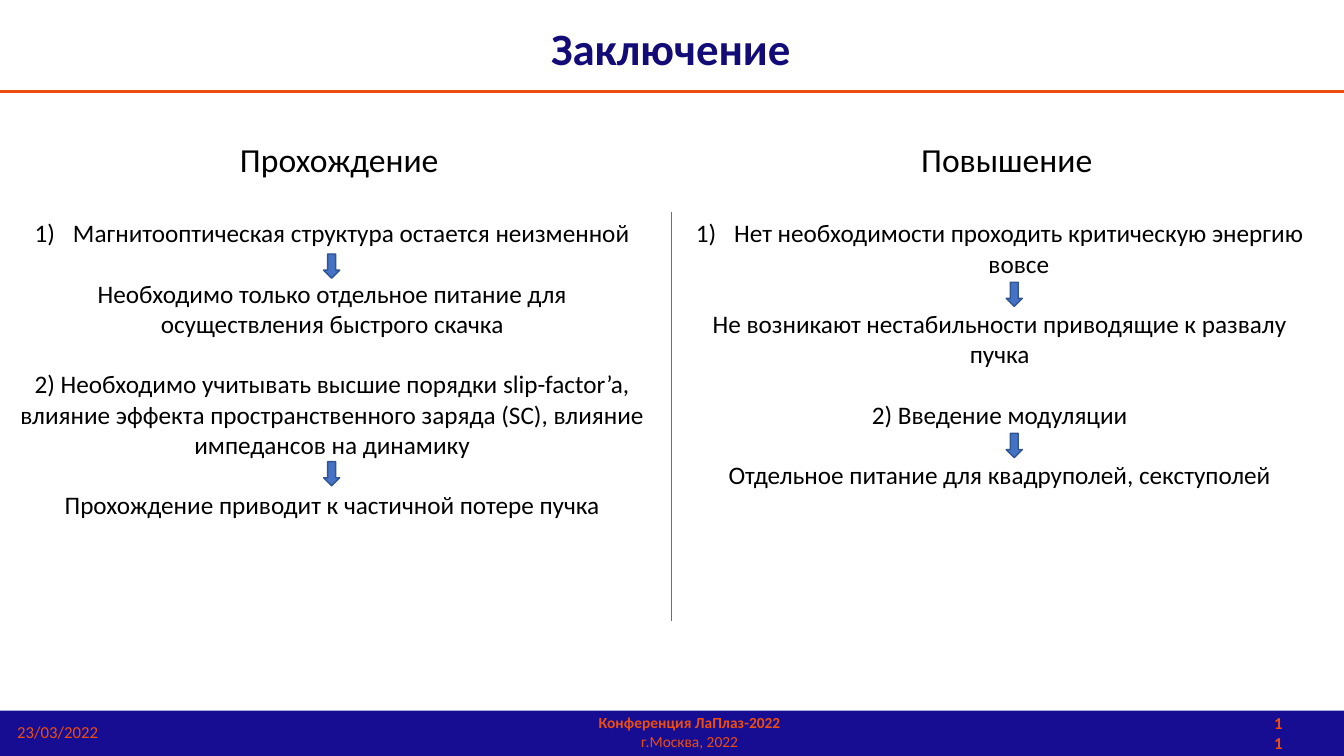
"""Build the conclusion slide comparing two ways of handling the critical energy."""
from lxml.etree import SubElement
from pptx import Presentation
from pptx.dml.color import RGBColor
from pptx.enum.shapes import MSO_CONNECTOR, MSO_SHAPE
from pptx.enum.text import MSO_ANCHOR, PP_ALIGN
from pptx.oxml.ns import qn
from pptx.util import Inches, Pt

NAVY = RGBColor(0x13, 0x0C, 0x77)
FOOTER_BLUE = RGBColor(0x16, 0x0D, 0x93)
ORANGE = RGBColor(0xEF, 0x4D, 0x0E)
BLUE = RGBColor(0x44, 0x72, 0xC4)
DARK_BLUE = RGBColor(0x32, 0x54, 0x91)
BLACK = RGBColor(0, 0, 0)

PASSING = [
    "Магнитооптическая структура остается неизменной",
    "Необходимо только отдельное питание для осуществления быстрого скачка",
    "2) Необходимо учитывать высшие порядки slip-factor’a, влияние эффекта "
    "пространственного заряда (SC), влияние импедансов на динамику",
    "Прохождение приводит к частичной потере пучка",
]
RAISING = [
    "Нет необходимости проходить критическую энергию вовсе",
    "Не возникают нестабильности приводящие к развалу пучка",
    "2) Введение модуляции",
    "Отдельное питание для квадруполей, секступолей",
]


def add_frame(slide, left, top, width, height, inset=None, anchor=MSO_ANCHOR.TOP):
    """Add an empty wrapping text box and return its text frame."""
    box = slide.shapes.add_textbox(Inches(left), Inches(top), Inches(width), Inches(height))
    frame = box.text_frame
    frame.word_wrap = True
    frame.vertical_anchor = anchor
    if inset is not None:
        frame.margin_left = frame.margin_right = Inches(inset)
        frame.margin_top = frame.margin_bottom = Inches(inset)
    return frame


def style(paragraph, text, size, color, bold=False, align=PP_ALIGN.CENTER):
    """Fill a paragraph with text in one font."""
    paragraph.text = text
    paragraph.alignment = align
    font = paragraph.font
    font.name, font.size, font.bold = "Calibri", Pt(size), bold
    font.color.rgb = color


def add_rule(slide, start, end, color, weight):
    """Draw a straight line without a shadow."""
    rule = slide.shapes.add_connector(
        MSO_CONNECTOR.STRAIGHT, *(Inches(value) for value in (*start, *end)))
    rule.line.color.rgb = color
    rule.line.width = Pt(weight)
    SubElement(rule._element.spPr, qn("a:effectLst"))


def add_solid(slide, kind, left, top, width, height, fill):
    """Add a filled preset shape without a shadow or outline."""
    solid = slide.shapes.add_shape(
        kind, Inches(left), Inches(top), Inches(width), Inches(height))
    solid.shadow.inherit = False
    solid.fill.solid()
    solid.fill.fore_color.rgb = fill
    solid.line.fill.background()
    return solid


def add_header(slide, left, top, width):
    """Place the slide title above its orange rule."""
    title = add_frame(slide, left, top, width, 0.64)
    style(title.paragraphs[0], "Заключение", 32, NAVY, bold=True)
    add_rule(slide, (left, top + 0.75), (left + width, top + 0.75), ORANGE, 2.25)


def add_column(slide, left, top, width, heading, points, arrow_left, arrow_tops):
    """Place a heading, its argument chain and the arrows between the steps."""
    heading_frame = add_frame(slide, left + 0.07, top, width, 0.5)
    style(heading_frame.paragraphs[0], heading, 24, BLACK)

    chain = add_frame(slide, left, top + 0.78, width, 3.13)
    for index, point in enumerate(points):
        step = chain.add_paragraph() if index else chain.paragraphs[0]
        if index:
            step.space_before = Pt(21.6)
        else:
            properties = step._p.get_or_add_pPr()
            properties.set("marL", str(Inches(0.38)))
            properties.set("indent", str(Inches(-0.38)))
            SubElement(properties, qn("a:buFont"), typeface="Calibri")
            SubElement(properties, qn("a:buAutoNum"), type="arabicParenR")
        style(step, point, 18, BLACK)

    for arrow_top in arrow_tops:
        arrow = add_solid(slide, MSO_SHAPE.DOWN_ARROW, left + arrow_left,
                          top + arrow_top, 0.16, 0.24, BLUE)
        arrow.line.color.rgb = DARK_BLUE
        arrow.line.width = Pt(1)


def add_footer(slide, left, top, width):
    """Place the footer band with the date, the conference and the page number."""
    add_solid(slide, MSO_SHAPE.RECTANGLE, left, top, width, 0.47, FOOTER_BLUE)

    page = add_frame(slide, left + 12.59, top + 0.07, 0.19, 0.3, 0.05, MSO_ANCHOR.MIDDLE)
    style(page.paragraphs[0], "11", 12, ORANGE, bold=True, align=PP_ALIGN.RIGHT)

    date = add_frame(slide, left + 0.13, top + 0.06, 1.05, 0.3, 0.05, MSO_ANCHOR.MIDDLE)
    style(date.paragraphs[0], "23/03/2022", 12, ORANGE, align=PP_ALIGN.LEFT)

    event = add_frame(slide, left + 2.49, top - 0.02, 8.72, 0.47, 0.05)
    style(event.paragraphs[0], "Конференция ЛаПлаз-2022", 11, ORANGE, bold=True)
    style(event.add_paragraph(), "г.Москва, 2022", 11, ORANGE)


def main():
    """Build and save the slide."""
    deck = Presentation()
    deck.slide_width, deck.slide_height = Inches(13.33), Inches(7.5)
    slide = deck.slides.add_slide(deck.slide_layouts[6])
    add_header(slide, -0.02, 0.16, 13.35)
    add_footer(slide, -0.01, 7.05, 13.35)
    add_rule(slide, (6.66, 2.1), (6.66, 6.16), BLUE, 0.5)
    add_column(slide, 0.06, 1.33, 6.47, "Прохождение", PASSING, 3.15, (1.19, 3.25))
    add_column(slide, 6.68, 1.33, 6.47, "Повышение", RAISING, 3.3, (1.47, 2.97))
    deck.save("out.pptx")


if __name__ == "__main__":
    main()
